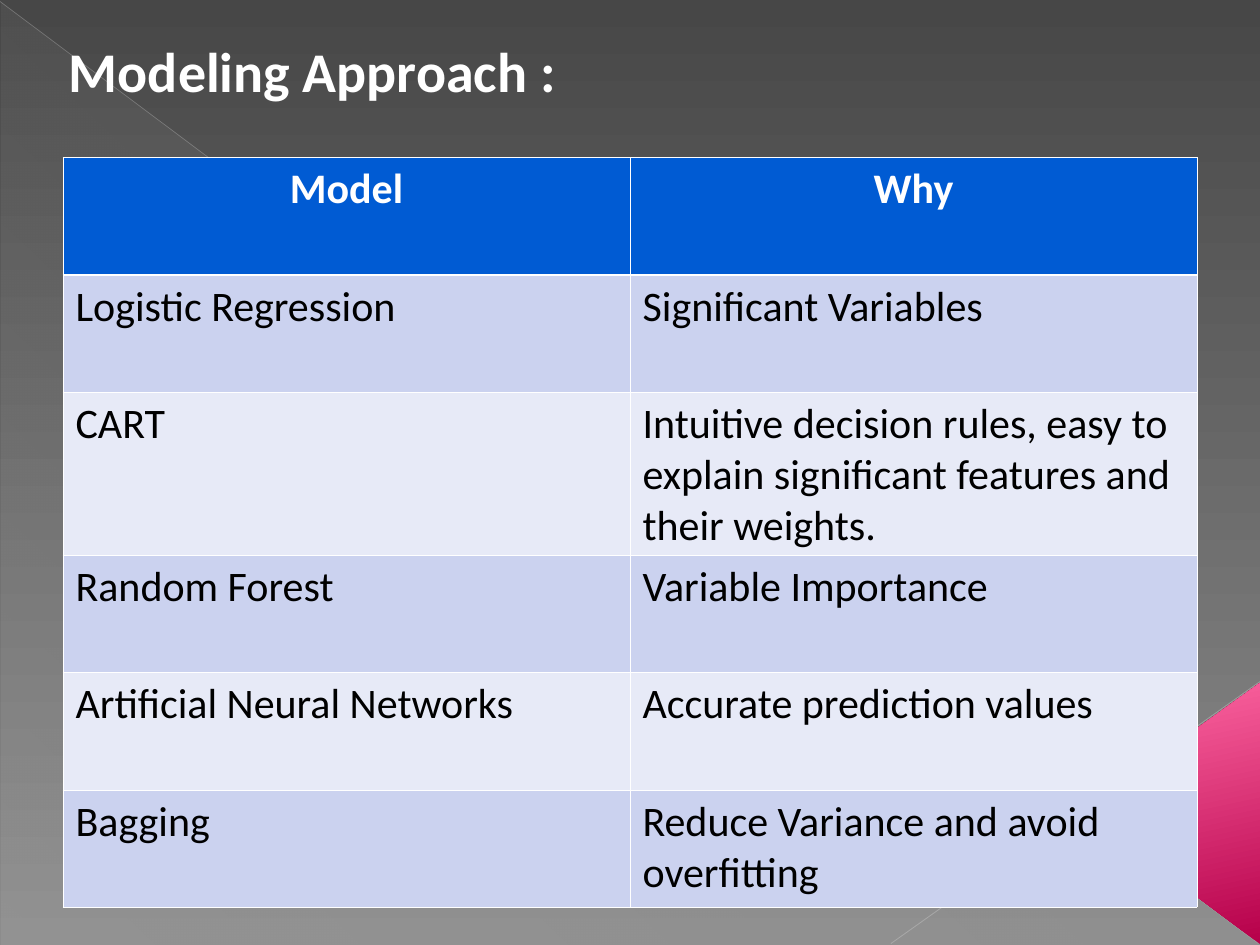
import pptx
import pptx.dml.color
import pptx.enum.shapes
import pptx.enum.text
import pptx.oxml
import pptx.oxml.ns
import pptx.util
from pptx.util import Cm

COLOURS = {
    "backdrop_top": "474747",
    "backdrop_bottom": "8C8C8C",
    "sheen": "D2D2D2",
    "long_line": "BFBFBF",
    "short_line": "C6C6C6",
    "pink_dark": "B6004A",
    "pink_light": "FF69A4",
    "header": "005BD3",
    "band_dark": "CBD2EF",
    "band_light": "E7EAF7",
    "white": "FFFFFF",
    "black": "000000",
}
MODELS = [
    ("Model", "Why"),
    ("Logistic Regression", "Significant Variables"),
    ("CART", "Intuitive decision rules, easy to explain significant features and their weights."),
    ("Random Forest", "Variable Importance"),
    ("Artificial Neural Networks", "Accurate prediction values"),
    ("Bagging", "Reduce Variance and avoid overfitting"),
]
ROW_HEIGHTS = [2.36, 2.36, 3.3, 2.36, 2.36, 2.36]
SHAPES = pptx.enum.shapes.MSO_SHAPE
ALIGN = pptx.enum.text.PP_ALIGN


def rgb(name):
    return pptx.dml.color.RGBColor.from_string(COLOURS[name])


class SlideBuilder:
    font_name = "Calibri"
    thin = 0.45
    thick = 1.47

    def __init__(self, page):
        self.page = page

    def gradient(self, fill, names, angle):
        fill.gradient()
        fill.gradient_angle = (360 - angle) % 360
        for stop, name in zip(fill.gradient_stops, names):
            stop.color.rgb = rgb(name)

    def opacity(self, item, percents):
        colours = item.element.spPr.iter(pptx.oxml.ns.qn("a:srgbClr"))
        for colour, percent in zip(list(colours), percents):
            alpha = pptx.oxml.parse_xml(
                f'<a:alpha {pptx.oxml.ns.nsdecls("a")} val="{percent * 1000}"/>')
            colour.append(alpha)

    def shape(self, kind, left, top, width, height, names, angle):
        shape = self.page.shapes.add_shape(kind, Cm(left), Cm(top), Cm(width), Cm(height))
        shape.shadow.inherit = False
        shape.line.fill.background()
        self.gradient(shape.fill, names, angle)
        return shape

    def line(self, start, end, name, width, percent):
        line = self.page.shapes.add_connector(
            pptx.enum.shapes.MSO_CONNECTOR.STRAIGHT,
            Cm(start[0]), Cm(start[1]), Cm(end[0]), Cm(end[1]))
        line.line.color.rgb = rgb(name)
        line.line.width = pptx.util.Pt(width)
        self.opacity(line, [percent])
        line.element.spPr.append(
            pptx.oxml.parse_xml(f'<a:effectLst {pptx.oxml.ns.nsdecls("a")}/>'))

    def label(self, frame, text, size, name, bold, align=ALIGN.LEFT):
        frame.word_wrap = True
        para = frame.paragraphs[0]
        para.text = text
        para.alignment = align
        para.font.name = self.font_name
        para.font.size = pptx.util.Pt(size)
        para.font.bold = bold
        para.font.color.rgb = rgb(name)

    def title(self, text, left, top, width, height):
        box = self.page.shapes.add_textbox(Cm(left), Cm(top), Cm(width), Cm(height))
        self.label(box.text_frame, text, 32, "white", True)

    def borders(self, cell, row):
        widths = {
            "lnL": self.thin,
            "lnR": self.thin,
            "lnT": self.thick if row == 1 else self.thin,
            "lnB": self.thick if row == 0 else self.thin,
        }
        properties = cell._tc.get_or_add_tcPr()
        for side, width in widths.items():
            properties.append(pptx.oxml.parse_xml(
                f'<a:{side} {pptx.oxml.ns.nsdecls("a")} w="{pptx.util.Pt(width)}">'
                f'<a:solidFill><a:srgbClr val="{COLOURS["white"]}"/></a:solidFill></a:{side}>'))

    def table(self, rows, heights, left, top, column_width):
        columns = len(rows[0])
        table = self.page.shapes.add_table(
            len(rows), columns, Cm(left), Cm(top),
            Cm(column_width * columns), Cm(sum(heights))).table
        table.horz_banding = False
        for column in table.columns:
            column.width = Cm(column_width)
        for row, (texts, height) in enumerate(zip(rows, heights)):
            table.rows[row].height = Cm(height)
            header = row == 0
            band = "header" if header else "band_dark" if row % 2 else "band_light"
            for column, text in enumerate(texts):
                cell = table.cell(row, column)
                self.borders(cell, row)
                cell.fill.solid()
                cell.fill.fore_color.rgb = rgb(band)
                self.label(cell.text_frame, text, 24, "white" if header else "black",
                           header, ALIGN.CENTER if header else ALIGN.LEFT)


def main():
    deck = pptx.Presentation()
    deck.slide_width, deck.slide_height = Cm(25.4), Cm(19.05)
    page = deck.slides.add_slide(deck.slide_layouts[6])
    builder = SlideBuilder(page)

    builder.gradient(page.background.fill, ["backdrop_top", "backdrop_bottom"], 90)
    sheen = builder.shape(SHAPES.RIGHT_TRIANGLE, 0.03, 0.05, 25.37, 19,
                          ["sheen", "sheen"], 133)
    builder.opacity(sheen, [1, 10])
    builder.line((0, 0.03), (25.37, 19.02), "long_line", 0.4, 35)
    builder.line((25.4, 13.74), (17.96, 19.02), "short_line", 0.48, 45)
    corner = builder.shape(SHAPES.ISOSCELES_TRIANGLE, 20.98, 14.61, 5.26, 3.58,
                           ["pink_dark", "pink_light"], 348)
    corner.adjustments[0] = 0.51
    corner.rotation = 270

    builder.title("Modeling Approach :", 1.14, 0.61, 23.06, 5.69)
    builder.table(MODELS, ROW_HEIGHTS, 1.27, 3.18, 11.43)
    deck.save("out.pptx")


if __name__ == "__main__":
    main()
